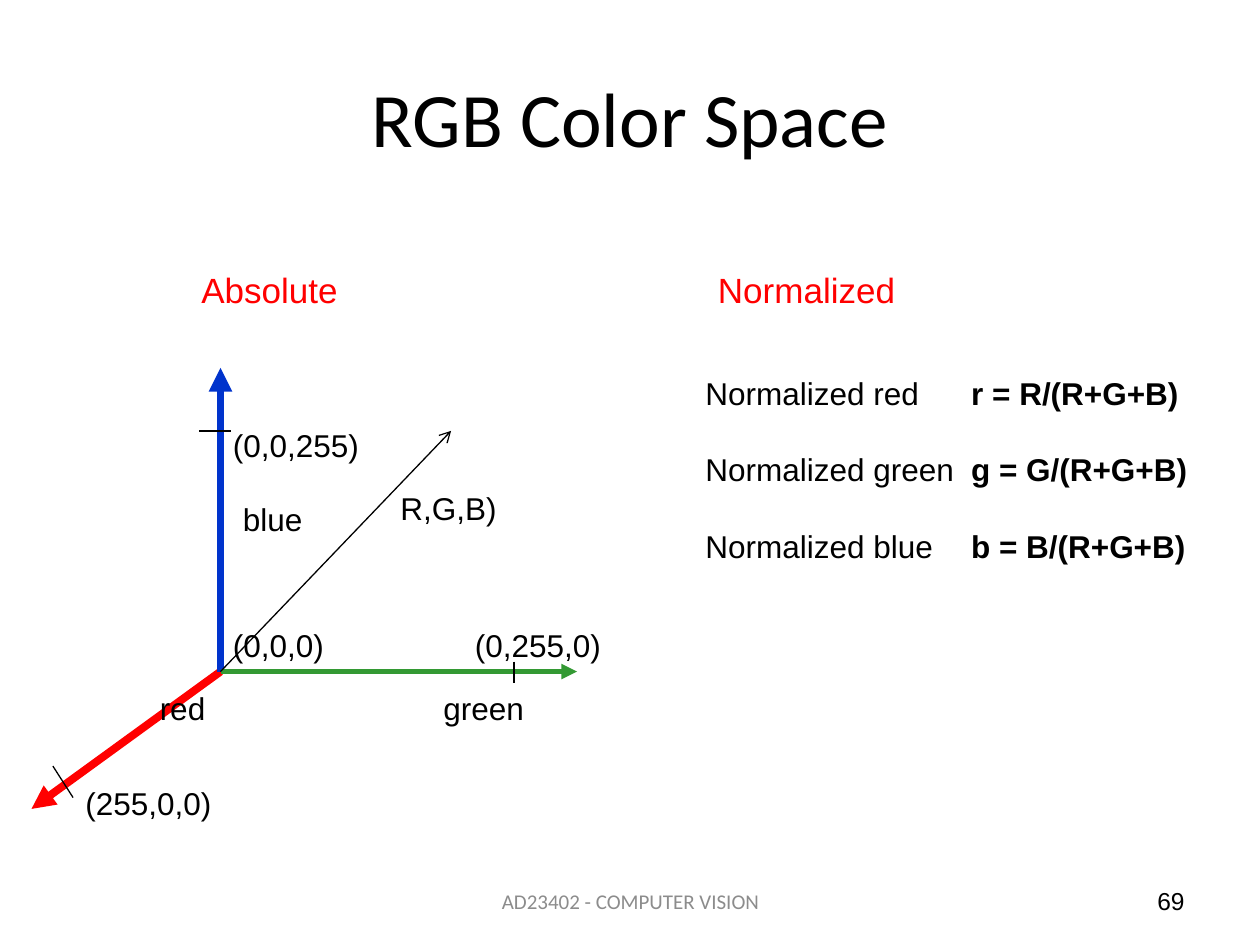
from pptx import Presentation
from pptx.dml.color import RGBColor
from pptx.enum.shapes import MSO_CONNECTOR
from pptx.enum.text import MSO_ANCHOR as Anchor, PP_ALIGN as Align
from pptx.oxml.ns import qn
from pptx.util import Inches, Pt
from lxml.etree import SubElement

BLACK = RGBColor(0x00, 0x00, 0x00)
RED = RGBColor(0xFF, 0x00, 0x00)
BLUE = RGBColor(0x00, 0x33, 0xCC)
GREEN = RGBColor(0x33, 0x99, 0x33)
GRAY = RGBColor(0x8C, 0x8C, 0x8C)

ORIGIN = (1.75, 5.33)
AXES = [
    ((0.25, 6.42), RED, 4.5),
    ((1.75, 2.92), BLUE, 4.5),
    ((4.58, 5.33), GREEN, 3),
]
TICKS = [
    ((1.58, 3.42), (1.83, 3.42)),
    ((4.08, 5.25), (4.08, 5.42)),
    ((0.42, 6.08), (0.58, 6.33)),
]
LABELS = [
    ("red", 1.17, 5.42, 0.57),
    ("blue", 1.83, 3.92, 0.68),
    ("green", 3.42, 5.42, 0.85),
    ("(0,0,0)", 1.75, 4.92, 0.93),
    ("(0,0,255)", 1.75, 3.33, 1.21),
    ("(0,255,0)", 3.67, 4.92, 1.21),
    ("(255,0,0)", 0.58, 6.17, 1.21),
    ("R,G,B)", 3.08, 3.83, 0.97),
]
FORMULAS = [
    ("Normalized red", "r = R/(R+G+B)"),
    ("Normalized green", "g = G/(R+G+B)"),
    ("Normalized blue", "b = B/(R+G+B)"),
]


def add_line(slide, start, end, color=BLACK, width=0.75, head=None):
    points = [Inches(v) for v in (*start, *end)]
    line = slide.shapes.add_connector(MSO_CONNECTOR.STRAIGHT, *points)
    line.line.color.rgb = color
    line.line.width = Pt(width)
    if head:
        SubElement(line.line._get_or_add_ln(), qn("a:tailEnd"), type=head)
    SubElement(line._element.spPr, qn("a:effectLst"))


def add_box(slide, left, top, width, height=0.4, wrap=False, anchor=Anchor.TOP):
    box = slide.shapes.add_textbox(*map(Inches, (left, top, width, height)))
    tf = box.text_frame
    tf.word_wrap = wrap
    tf.vertical_anchor = anchor
    return tf


def add_run(p, text, size=18, color=BLACK, font="Arial", bold=False):
    r = p.add_run()
    r.text = text
    r.font.size = Pt(size)
    r.font.name = font
    r.font.bold = bold
    r.font.color.rgb = color


def set_tab(p, position):
    tabs = SubElement(p._p.get_or_add_pPr(), qn("a:tabLst"))
    SubElement(tabs, qn("a:tab"), pos=str(Inches(position)), algn="l")


def add_title(slide, text):
    title = slide.shapes.title
    title.left, title.top, title.width, title.height = map(Inches, (0.5, 0.3, 9, 1.25))
    title.text_frame.vertical_anchor = Anchor.MIDDLE
    p = title.text_frame.paragraphs[0]
    p.alignment = Align.CENTER
    add_run(p, text, 44, font="Calibri")


def add_headings(slide):
    p = add_box(slide, 1.5, 2.08, 5.8, 0.44).paragraphs[0]
    set_tab(p, 4.1)
    add_run(p, "Absolute\tNormalized", 20, RED)


def add_formulas(slide):
    tf = add_box(slide, 5.5, 2.92, 4.07, 1.92)
    for i, (name, formula) in enumerate(FORMULAS):
        p = tf.add_paragraph() if i else tf.paragraphs[0]
        if i:
            p.space_before = Pt(22)
        set_tab(p, 2.11)
        add_run(p, name + "\t")
        add_run(p, formula, bold=True)


def add_footer(slide, text, left, width, align, **style):
    p = add_box(slide, left, 6.95, width, wrap=True, anchor=Anchor.MIDDLE).paragraphs[0]
    p.alignment = align
    add_run(p, text, **style)


def main():
    prs = Presentation()
    prs.slide_width, prs.slide_height = Inches(10), Inches(7.5)
    slide = prs.slides.add_slide(prs.slide_layouts[5])
    add_title(slide, "RGB Color Space")
    for end, color, width in AXES:
        add_line(slide, ORIGIN, end, color, width, "triangle")
    add_line(slide, ORIGIN, (3.58, 3.42), head="arrow")
    for start, end in TICKS:
        add_line(slide, start, end)
    for text, left, top, width in LABELS:
        add_run(add_box(slide, left, top, width).paragraphs[0], text)
    add_headings(slide)
    add_formulas(slide)
    add_footer(slide, "AD23402 - COMPUTER VISION", 3.42, 3.17, Align.CENTER,
               size=12, color=GRAY, font="Calibri")
    add_footer(slide, "69", 7.17, 2.33, Align.RIGHT, size=14)
    prs.save("out.pptx")


if __name__ == "__main__":
    main()
